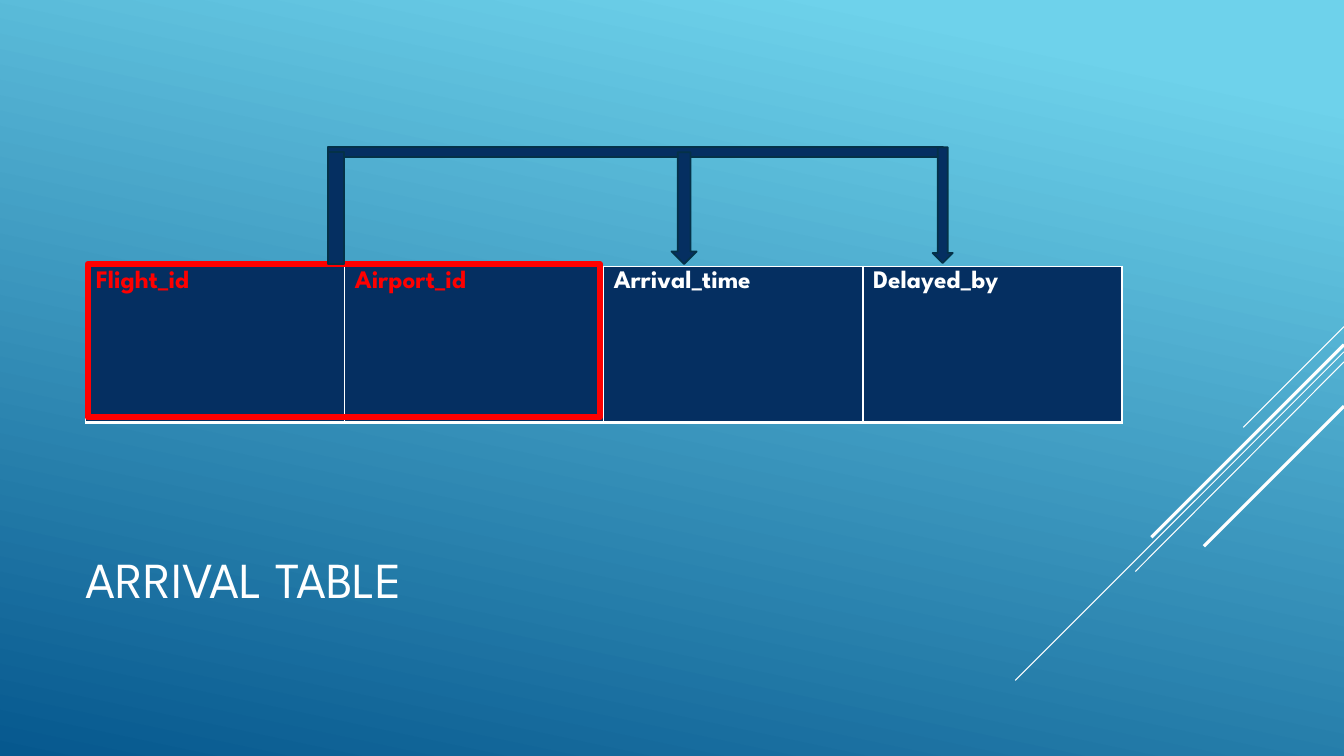
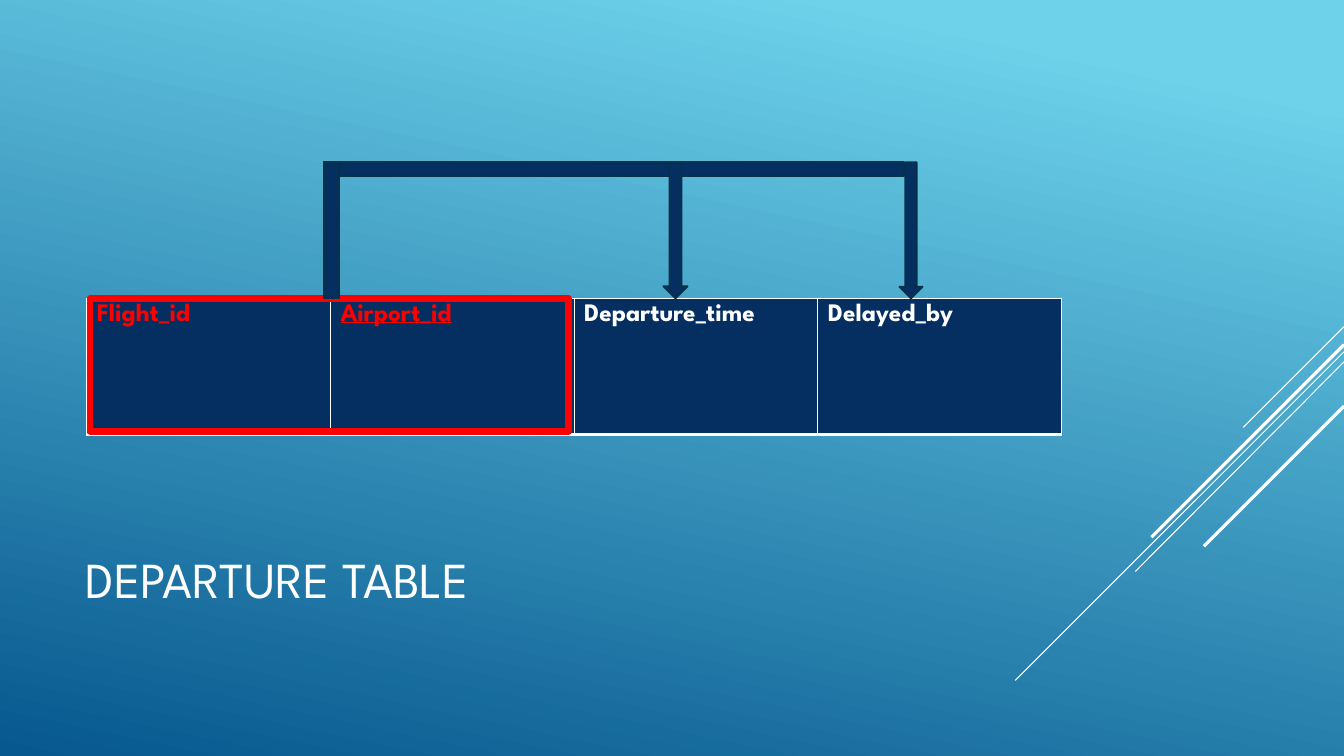
from dataclasses import dataclass

from lxml import etree
from pptx import Presentation
from pptx import util as u
from pptx.dml.color import RGBColor
from pptx.enum import shapes, text
from pptx.oxml.ns import qn


@dataclass(frozen=True)
class Theme:
    font: str = "League Spartan"
    title_size: float = 36
    cell_size: float = 18
    white: str = "FFFFFF"
    key: str = "FF0000"
    navy: str = "052F61"
    edge: str = "043148"
    sky: str = "6ED2EB"
    deep: str = "06588E"
    gradient_angle: float = 258
    edge_width: float = 1.25
    frame_width: float = 4.5


THEME = Theme()
TITLE_BOX = (0.75, 4.91, 9.33, 1.65)
CELL_BORDERS = {"a:lnL": 1, "a:lnR": 1, "a:lnT": 1, "a:lnB": 3}
KEY_COLUMNS = 2
RAYS = [
    ((13.33, 3.24), (12.33, 4.24), 0.75),
    ((13.33, 3.49), (10.07, 6.75), 0.75),
    ((13.33, 3.59), (11.26, 5.67), 0.75),
    ((13.33, 3.42), (11.42, 5.33), 2.25),
    ((13.33, 4.03), (11.94, 5.42), 2.25),
]
SLIDES = [
    {
        "title": "ARRIVAL TABLE",
        "fields": ["Flight_id", "Airport_id", "Arrival_time", "Delayed_by"],
        "underlined": [],
        "table": (0.85, 2.64, 10.28, 1.55),
        "key_frame": (0.87, 2.62, 5.08, 1.52),
        "bar": (3.25, 1.46, 6.1, 0.1),
        "stem": (3.25, 1.51, 0.16, 1.11),
        "arrows": [(6.66, 1.51, 0.25, 1.11), (9.25, 1.46, 0.2, 1.15)],
    },
    {
        "title": "DEPARTURE TABLE",
        "fields": ["Flight_id", "Airport_id", "Departure_time", "Delayed_by"],
        "underlined": ["Airport_id"],
        "table": (0.86, 2.96, 9.67, 1.35),
        "key_frame": (0.89, 2.96, 4.75, 1.32),
        "bar": (3.21, 1.61, 5.76, 0.14),
        "stem": (3.21, 1.61, 0.15, 1.35),
        "arrows": [(6.58, 1.61, 0.24, 1.35), (8.92, 1.61, 0.23, 1.35)],
    },
]


def color(value):
    return RGBColor.from_string(value)


def inches(values):
    return [u.Inches(value) for value in values]


def set_all(target, values):
    for name, value in values.items():
        setattr(target, name, value)


def write(paragraph, content, size, ink, **extra):
    paragraph.alignment = text.PP_ALIGN.LEFT
    run = paragraph.add_run()
    run.text = content
    set_all(run.font, {"name": THEME.font, "size": u.Pt(size), **extra})
    run.font.color.rgb = color(ink)


def set_line(line, ink, width):
    line.color.rgb = color(ink)
    line.width = u.Pt(width)


def paint_background(master):
    fill = master.background.fill
    fill.gradient()
    fill.gradient_angle = THEME.gradient_angle
    stops = [(0.1, THEME.sky), (1, THEME.deep)]
    for stop, (position, tint) in zip(fill.gradient_stops, stops):
        stop.position = position
        stop.color.rgb = color(tint)


def add_rays(slide):
    for start, end, width in RAYS:
        ray = slide.shapes.add_connector(
            shapes.MSO_CONNECTOR.STRAIGHT, *inches(start + end))
        set_line(ray.line, THEME.white, width)
        etree.SubElement(ray._element.spPr, qn("a:effectLst"))


def add_title(slide, content):
    title = slide.shapes.title
    set_all(title, dict(zip(("left", "top", "width", "height"), inches(TITLE_BOX))))
    frame = title.text_frame
    set_all(frame, {"vertical_anchor": text.MSO_ANCHOR.MIDDLE,
                    "word_wrap": True, "auto_size": text.MSO_AUTO_SIZE.NONE})
    write(frame.paragraphs[0], content, THEME.title_size, THEME.white)


def add_borders(cell):
    properties = cell._tc.get_or_add_tcPr()
    for side, width in CELL_BORDERS.items():
        border = etree.SubElement(properties, qn(side), w=str(u.Pt(width)))
        fill = etree.SubElement(border, qn("a:solidFill"))
        etree.SubElement(fill, qn("a:srgbClr"), val=THEME.white)


def add_fields(slide, fields, underlined, box):
    table = slide.shapes.add_table(1, len(fields), *inches(box)).table
    set_all(table, {"first_row": False, "horz_banding": False})
    for index, field in enumerate(fields):
        table.columns[index].width = u.Inches(box[2] / len(fields))
        cell = table.cell(0, index)
        add_borders(cell)
        cell.fill.solid()
        cell.fill.fore_color.rgb = color(THEME.navy)
        ink = THEME.key if index < KEY_COLUMNS else THEME.white
        write(cell.text_frame.paragraphs[0], field, THEME.cell_size, ink,
              bold=True, underline=field in underlined)


def add_block(slide, kind, box, fill, ink, width):
    shape = slide.shapes.add_shape(kind, *inches(box))
    shape.shadow.inherit = False
    if fill:
        shape.fill.solid()
        shape.fill.fore_color.rgb = color(fill)
    else:
        shape.fill.background()
    set_line(shape.line, ink, width)


def add_dependency(slide, content):
    rectangle = shapes.MSO_SHAPE.RECTANGLE
    add_block(slide, rectangle, content["key_frame"], None,
              THEME.key, THEME.frame_width)
    parts = [(rectangle, content["bar"]), (rectangle, content["stem"])]
    parts += [(shapes.MSO_SHAPE.DOWN_ARROW, box) for box in content["arrows"]]
    for kind, box in parts:
        add_block(slide, kind, box, THEME.navy, THEME.edge, THEME.edge_width)


presentation = Presentation()
set_all(presentation, {"slide_width": u.Inches(13.33), "slide_height": u.Inches(7.5)})
paint_background(presentation.slide_master)
title_only = presentation.slide_layouts.get_by_name("Title Only")
for content in SLIDES:
    slide = presentation.slides.add_slide(title_only)
    add_rays(slide)
    add_title(slide, content["title"])
    add_fields(slide, content["fields"], content["underlined"], content["table"])
    add_dependency(slide, content)
presentation.save("out.pptx")
